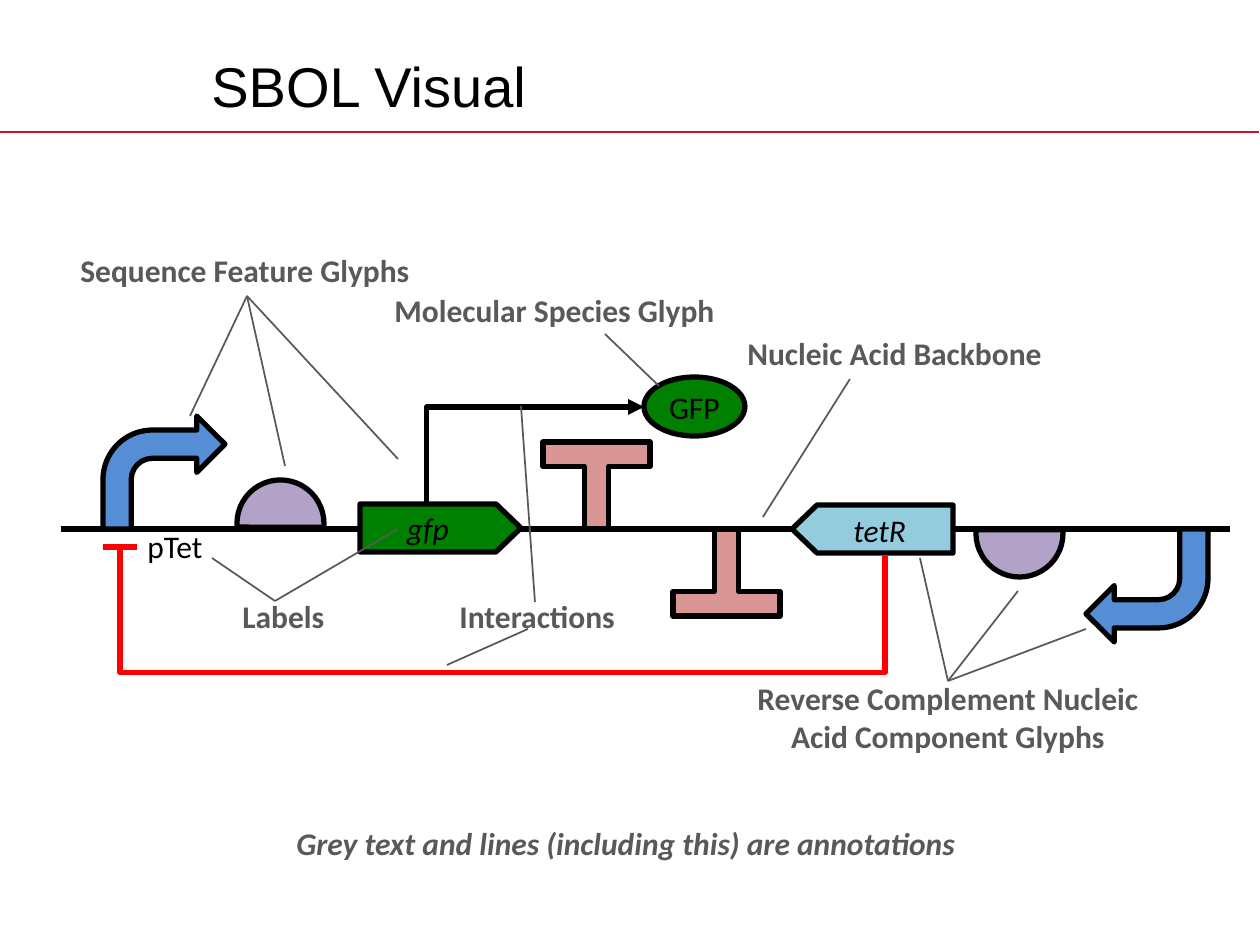
from lxml import etree
from pptx import Presentation
from pptx import util as u
from pptx.dml.color import RGBColor
from pptx.enum import shapes, text
from pptx.oxml import ns

PX = 914400 // 126
BLACK = RGBColor(0, 0, 0)
GREY = RGBColor(0x59, 0x59, 0x59)
RED = RGBColor(0xFF, 0, 0)
RULE = RGBColor(0xCE, 0x11, 0x26)
GREEN = RGBColor(0, 0x80, 0)
PURPLE = RGBColor(0xB3, 0xA2, 0xC7)
BLUE = RGBColor(0x55, 0x8E, 0xD5)
PINK = RGBColor(0xD9, 0x96, 0x94)
CYAN = RGBColor(0x93, 0xCD, 0xDD)

MSO = shapes.MSO_SHAPE
ALIGN = text.PP_ALIGN
BACKBONE_Y = 529

# Glyph kind: preset, adjustments, width, height
KINDS = {
    "coding": (MSO.PENTAGON, (0.52,), 161, 48),
    "binding": (MSO.CHORD, (105.06, 3.02), 87, 87),
    "promoter": (MSO.BENT_ARROW, (), 122, 113),
    "terminator": (MSO.LEFT_RIGHT_UP_ARROW, (0.5, 0.14, 0), 107, 87),
    "protein": (MSO.OVAL, (), 101, 59),
}
# Kind, left, top, rotation, fill, label, italic
GLYPHS = [
    ("coding", 360, 504, 0, GREEN, "gfp", True),
    ("binding", 237, 480, 0, PURPLE, "", False),
    ("promoter", 103, BACKBONE_Y - 113, 0, BLUE, "", False),
    ("terminator", 543, BACKBONE_Y - 87, 180, PINK, "", False),
    ("coding", 792, 505, 180, CYAN, "", False),
    ("binding", 976, 490, 180, PURPLE, "", False),
    ("promoter", 1086, BACKBONE_Y, 180, BLUE, "", False),
    ("terminator", 673, BACKBONE_Y, 0, PINK, "", False),
    ("protein", 644, 377, 0, GREEN, "GFP", False),
]
# Shared end point of the grey leaders, then their other ends
LEADERS = [
    ((247, 296), [(190, 416), (285, 466), (398, 459)]),
    ((948, 681), [(920, 558), (1018, 591), (1086, 629)]),
    ((275, 601), [(212, 558), (398, 529)]),
    ((850, 379), [(763, 517)]),
    ((528, 629), [(447, 665)]),
    ((535, 602), [(521, 406)]),
    ((605, 334), [(659, 386)]),
]
# Lines, left, top, width, height
ANNOTATIONS = [
    (["Nucleic Acid Backbone"], 735, 328, 322, 50),
    (["Sequence Feature Glyphs"], 68, 245, 356, 50),
    (["Molecular Species Glyph"], 382, 285, 360, 50),
    (["Reverse Complement Nucleic", "Acid Component Glyphs"], 742, 673, 412, 89),
    (["Labels"], 230, 591, 109, 50),
    (["Interactions"], 447, 591, 184, 50),
]


def write(tf, lines, size=18, color=BLACK, bold=False, italic=False,
          font="Calibri", align=ALIGN.LEFT):
    for i, line in enumerate(lines):
        p = tf.paragraphs[0] if i == 0 else tf.add_paragraph()
        p.text = line
        p.alignment = align
        p.font.name, p.font.size = font, u.Pt(size)
        p.font.bold, p.font.italic = bold, italic
        p.font.color.rgb = color


def label(s, lines, box, wrap=False, anchor=text.MSO_ANCHOR.TOP, **style):
    tf = s.shapes.add_textbox(*(v * PX for v in box)).text_frame
    tf.word_wrap = wrap
    tf.vertical_anchor = anchor
    write(tf, lines, **style)


def glyph(s, kind, left, top, rotation, fill, name, italic):
    preset, adjustments, width, height = KINDS[kind]
    sp = s.shapes.add_shape(preset, *(v * PX for v in (left, top, width, height)))
    if kind == "coding":
        # A right arrow whose shaft is as tall as its head
        sp._element.spPr.prstGeom.set("prst", "rightArrow")
        adjustments = (1, *adjustments)
        set_adjustments(sp, adjustments)
    else:
        for i, value in enumerate(adjustments):
            sp.adjustments[i] = value
    sp.rotation = rotation
    sp.shadow.inherit = False
    sp.fill.solid()
    sp.fill.fore_color.rgb = fill
    sp.line.color.rgb, sp.line.width = BLACK, u.Pt(3)
    if name:
        sp.text_frame.word_wrap = False
        sp.text_frame.vertical_anchor = text.MSO_ANCHOR.MIDDLE
        write(sp.text_frame, [name], italic=italic, align=ALIGN.CENTER)


def set_adjustments(sp, values):
    geom = sp._element.spPr.find(ns.qn("a:prstGeom"))
    guides = geom.find(ns.qn("a:avLst"))
    for old in list(guides):
        guides.remove(old)
    for i, value in enumerate(values, 1):
        etree.SubElement(guides, ns.qn("a:gd"), name=f"adj{i}",
                         fmla=f"val {round(value * 100000)}")


def line(s, start, end, color, width, kind=shapes.MSO_CONNECTOR.STRAIGHT):
    c = s.shapes.add_connector(kind, *(v * PX for v in (*start, *end)))
    c.line.color.rgb, c.line.width = color, u.Pt(width)
    etree.SubElement(c._element.spPr, ns.qn("a:effectLst"))
    return c


def production(s):
    """Arrow from the gfp gene up and right to its protein."""
    c = line(s, (427, 503), (644, 407), BLACK, 3, shapes.MSO_CONNECTOR.ELBOW)
    set_adjustments(c, [-0.001])
    etree.SubElement(c.line._get_or_add_ln(), ns.qn("a:tailEnd"), type="triangle")


def inhibition(s):
    """Path from tetR down, left and up to the bar below the promoter."""
    x1, y1, x2, y2, low = 885, 556, 120, 547, 673
    depth, span = y1 - y2, x1 - x2
    left, top = (x1 + x2 - depth) // 2, (y1 + y2 - span) // 2
    c = line(s, (left + depth, top), (left, top + span), RED, 3,
             shapes.MSO_CONNECTOR.ELBOW)
    c._element.spPr.find(ns.qn("a:xfrm")).set("rot", str(90 * 60000))
    c._element.spPr.find(ns.qn("a:prstGeom")).set("prst", "bentConnector4")
    set_adjustments(c, [-(low - y1) / depth, 1])
    line(s, (103, y2), (137, y2), RED, 3)


def main():
    prs = Presentation()
    prs.slide_width, prs.slide_height = u.Inches(10), u.Inches(7.5)
    s = prs.slides.add_slide(prs.slide_layouts[6])

    line(s, (0, 132), (1259, 132), RULE, 1)
    label(s, ["SBOL Visual"], (199, 38, 968, 94), wrap=True,
          anchor=text.MSO_ANCHOR.MIDDLE, size=32, font="Arial")

    line(s, (61, BACKBONE_Y), (1230, BACKBONE_Y), BLACK, 3)
    for item in GLYPHS:
        glyph(s, *item)
    production(s)
    inhibition(s)
    for hub, ends in LEADERS:
        for end in ends:
            line(s, hub, end, GREY, 1)

    label(s, ["tetR"], (841, 505, 87, 50), italic=True)
    label(s, ["pTet"], (135, 521, 81, 50))
    for lines, *box in ANNOTATIONS:
        align = ALIGN.CENTER if len(lines) > 1 else ALIGN.LEFT
        label(s, lines, box, color=GREY, bold=True, align=align)
    label(s, ["Grey text and lines (including this) are annotations"],
          (284, 818, 692, 50), color=GREY, bold=True, italic=True)
    prs.save("out.pptx")


if __name__ == "__main__":
    main()
